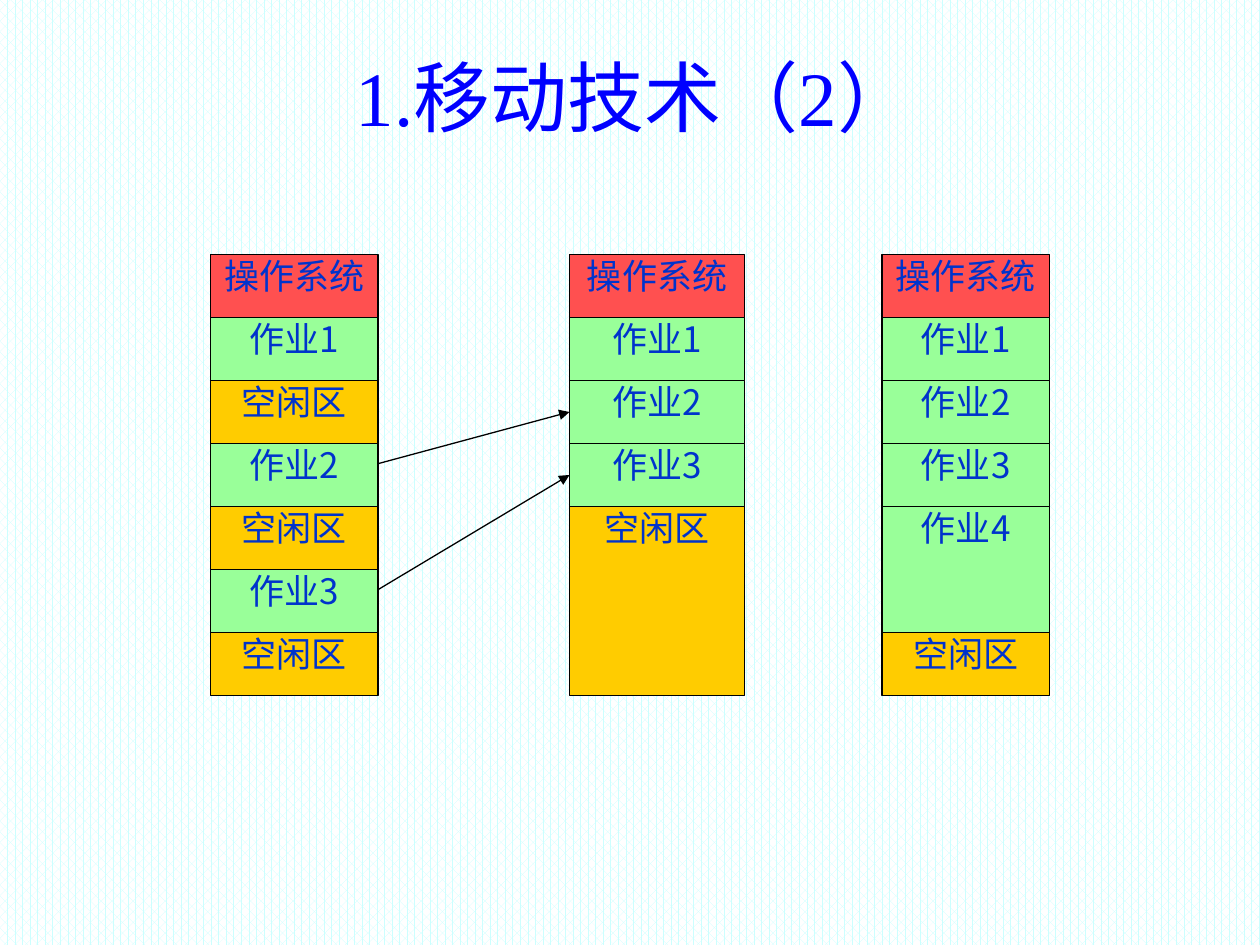
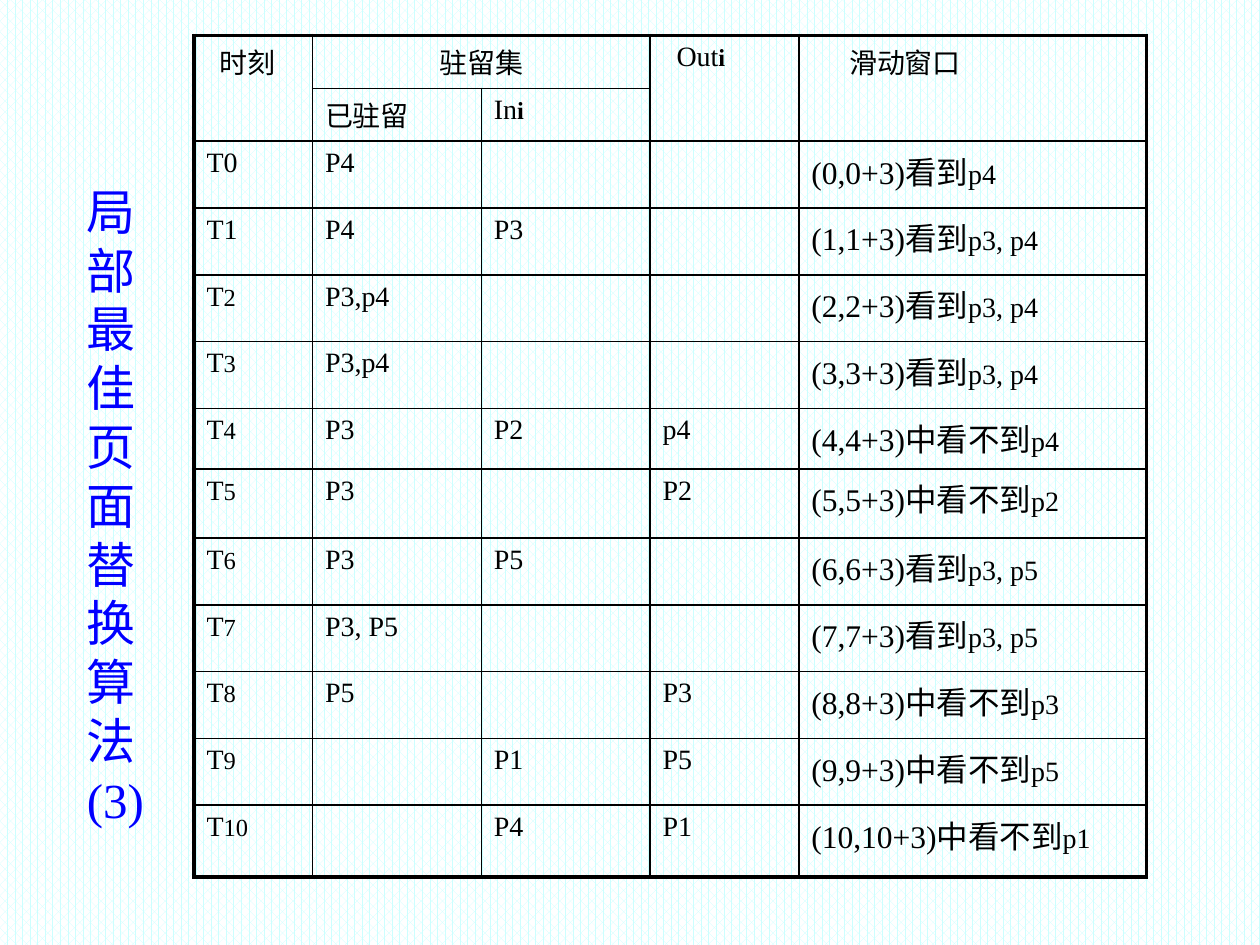
from itertools import accumulate
from lxml import etree
from pptx import Presentation
from pptx.dml.color import RGBColor
from pptx.enum.dml import MSO_PATTERN
from pptx.enum.shapes import MSO_CONNECTOR, MSO_SHAPE
from pptx.enum.text import MSO_ANCHOR, MSO_AUTO_SIZE, PP_ALIGN
from pptx.oxml.ns import qn
from pptx.util import Inches, Pt

WEAVE = MSO_PATTERN.PERCENT_60
RECT, LINE = MSO_SHAPE.RECTANGLE, MSO_CONNECTOR.STRAIGHT
TOP, MIDDLE = MSO_ANCHOR.TOP, MSO_ANCHOR.MIDDLE
LEFT, CENTER = PP_ALIGN.LEFT, PP_ALIGN.CENTER
FIXED = MSO_AUTO_SIZE.NONE

HUES = {"title": "0000FF", "label": "0033CC", "ink": "000000", "os": "FF5050",
        "job": "99FF99", "free": "FFCC00", "weave": "CCFFFF", "paper": "FFFFFF"}
SERIF, SANS = "Times New Roman", "Noto Sans CJK JP"

OS, FREE = ("操作系统", "os", 1), ("空闲区", "free", 1)
JOBS = [(f"作业{n}", "job", 1) for n in range(1, 5)]
STACKS = [
    (1.67, 1.33, [OS, JOBS[0], FREE, JOBS[1], FREE, JOBS[2], FREE]),
    (4.52, 1.39, [OS, *JOBS[:3], ("空闲区", "free", 3)]),
    (7, 1.33, [OS, *JOBS[:3], ("作业4", "job", 2), FREE]),
]
MOVES = [(3.32, 2.5), (5.32, 3.5)]

COLS = [0.94, 1.34, 1.34, 1.18, 2.76]
ROWS = [0.42, 0.42, 0.53, 0.53, 0.53, 0.53, 0.48, 0.55, 0.53, 0.53, 0.53, 0.53, 0.57]
STEPS = [
    ("P4", "", "", "p4"), ("P4", "P3", "", "p3, p4"), ("P3,p4", "", "", "p3, p4"),
    ("P3,p4", "", "", "p3, p4"), ("P3", "P2", "p4", "p4"), ("P3", "", "P2", "p2"),
    ("P3", "P5", "", "p3, p5"), ("P3, P5", "", "", "p3, p5"), ("P5", "", "P3", "p3"),
    ("", "P1", "P5", "p5"), ("", "P4", "P1", "p1"),
]


def rgb(hue):
    """Look up a named colour."""
    return RGBColor.from_string(HUES[hue])


def put(obj, **vals):
    """Set attributes from format values."""
    for key, val in vals.items():
        setattr(obj, key, val)


def write(para, text, size, hue, face=SERIF, bold=False):
    """Add one formatted run to a paragraph."""
    run = para.add_run()
    run.text = text
    put(run.font, size=Pt(size), name=face, bold=bold)
    run.font.color.rgb = rgb(hue)
    etree.SubElement(run.font._element, qn("a:ea"), typeface=SANS)


def head(slide, box, lines, size, align, anchor, pitch=None):
    """Place and format the slide title."""
    title = slide.shapes.title
    put(title, **dict(zip(("left", "top", "width", "height"), map(Inches, box))))
    frame = title.text_frame
    put(frame, word_wrap=True, auto_size=FIXED, vertical_anchor=anchor)
    for n, line in enumerate(lines):
        para = frame.add_paragraph() if n else frame.paragraphs[0]
        put(para, alignment=align, line_spacing=pitch)
        write(para, line, size, "title")


def block(group, x, y, w, h, text, hue):
    """Draw one labelled block of memory."""
    shape = group.shapes.add_shape(RECT, *map(Inches, (x, y, w, h)))
    shape.shadow.inherit = False
    shape.fill.solid()
    shape.fill.fore_color.rgb = rgb(hue)
    shape.line.color.rgb = rgb("ink")
    shape.line.width = Pt(0.75)
    frame = shape.text_frame
    put(frame, margin_left=0, margin_right=0, margin_top=0, margin_bottom=0,
        vertical_anchor=TOP, word_wrap=True)
    para = frame.paragraphs[0]
    para.alignment = CENTER
    write(para, text, 20, "label", SANS)


def arrow(group, x1, y1, x2, y2):
    """Draw an arrow from one point to another."""
    line = group.shapes.add_connector(LINE, *map(Inches, (x1, y1, x2, y2)))
    line.line.color.rgb = rgb("ink")
    line.line.width = Pt(0.75)
    etree.SubElement(line.line._get_or_add_ln(), qn("a:tailEnd"), type="triangle")
    etree.SubElement(line._element.spPr, qn("a:effectLst"))


def memory(slide, top, row):
    """Draw the memory stacks and the moves between them."""
    group = slide.shapes.add_group_shape()
    for x, w, parts in STACKS:
        starts = accumulate((part[2] for part in parts), initial=0)
        for start, (text, hue, span) in zip(starts, parts):
            block(group, x, top + start * row, w, span * row, text, hue)
    (x, w, _), (goal, _, _) = STACKS[:2]
    for start, end in MOVES:
        arrow(group, x + w, top + start * row, goal, top + end * row)


def edge(cell, sides):
    """Draw the borders of a cell, with widths in points by side."""
    props = cell._tc.get_or_add_tcPr()
    for n, (side, width) in enumerate(sides.items()):
        line = etree.Element(qn(f"a:ln{side}"), w=str(Pt(width)))
        fill = etree.SubElement(line, qn("a:solidFill"))
        etree.SubElement(fill, qn("a:srgbClr"), val=HUES["ink"])
        props.insert(n, line)


def entries():
    """List the runs of every cell that has text, by row and column."""
    cells = {(0, 0): [("时刻", 16)], (0, 1): [("驻留集", 16)],
             (0, 3): [("Out", 16), ("i", 14, True)], (0, 4): [("滑动窗口", 16)],
             (1, 1): [("已驻留", 16)], (1, 2): [("In", 16), ("i", 14, True)]}
    for n, (kept, into, out, pages) in enumerate(STEPS):
        row = n + 2
        cells[row, 0] = [("T", 16), (str(n), 14 if n > 1 else 16)]
        for col, text in enumerate((kept, into, out), 1):
            if text:
                cells[row, col] = [(text, 16)]
        sight = "中看不到" if out else "看到"
        cells[row, 4] = [(f"({n},{n}+3){sight}", 18), (pages, 16)]
    return cells


def trace(slide, x, y):
    """Build the table of resident pages over time."""
    size = map(Inches, (x, y, sum(COLS), sum(ROWS)))
    table = slide.shapes.add_table(len(ROWS), len(COLS), *size).table
    put(table, first_row=False, horz_banding=False)
    for col, width in zip(table.columns, COLS):
        col.width = Inches(width)
    for row, height in zip(table.rows, ROWS):
        row.height = Inches(height)
    for r in range(len(ROWS)):
        for c in range(len(COLS)):
            cell = table.cell(r, c)
            cell.fill.background()
            outer = {"L": c == 0, "R": c == len(COLS) - 1,
                     "T": r == 0, "B": r == len(ROWS) - 1}
            edge(cell, {side: 2.25 if out else 1 for side, out in outer.items()})
    for start, end in [((0, 0), (1, 0)), ((0, 1), (0, 2)),
                       ((0, 3), (1, 3)), ((0, 4), (1, 4))]:
        table.cell(*start).merge(table.cell(*end))
    for spot, runs in entries().items():
        for run in runs:
            write(table.cell(*spot).text_frame.paragraphs[0], run[0], run[1],
                  "ink", bold=len(run) > 2)
    table.cell(0, 1).text_frame.paragraphs[0].alignment = CENTER
    for col, shift in {0: 0.1, 3: 0.11, 4: 0.3}.items():
        table.cell(0, col).margin_left = Inches(0.1 + shift)


def main():
    """Build both slides and save them."""
    deck = Presentation()
    put(deck, slide_width=Inches(10), slide_height=Inches(7.5))
    fill = deck.slide_master.background.fill
    fill.patterned()
    fill.pattern = WEAVE
    fill.fore_color.rgb = rgb("weave")
    fill.back_color.rgb = rgb("paper")
    plain = deck.slide_layouts.get_by_name("Title Only")

    slide = deck.slides.add_slide(plain)
    head(slide, (0.51, 0.21, 9.06, 1.1), ["1.移动技术（2）"], 44, CENTER, MIDDLE)
    memory(slide, 2.02, 0.5)

    slide = deck.slides.add_slide(plain)
    trace(slide, 1.54, 0.28)
    head(slide, (0.59, 1.39, 0.71, 5.24), ["局部最佳页面替换算法", "(3)"], 28,
         LEFT, TOP, Pt(33.6))
    deck.save("out.pptx")


if __name__ == "__main__":
    main()
